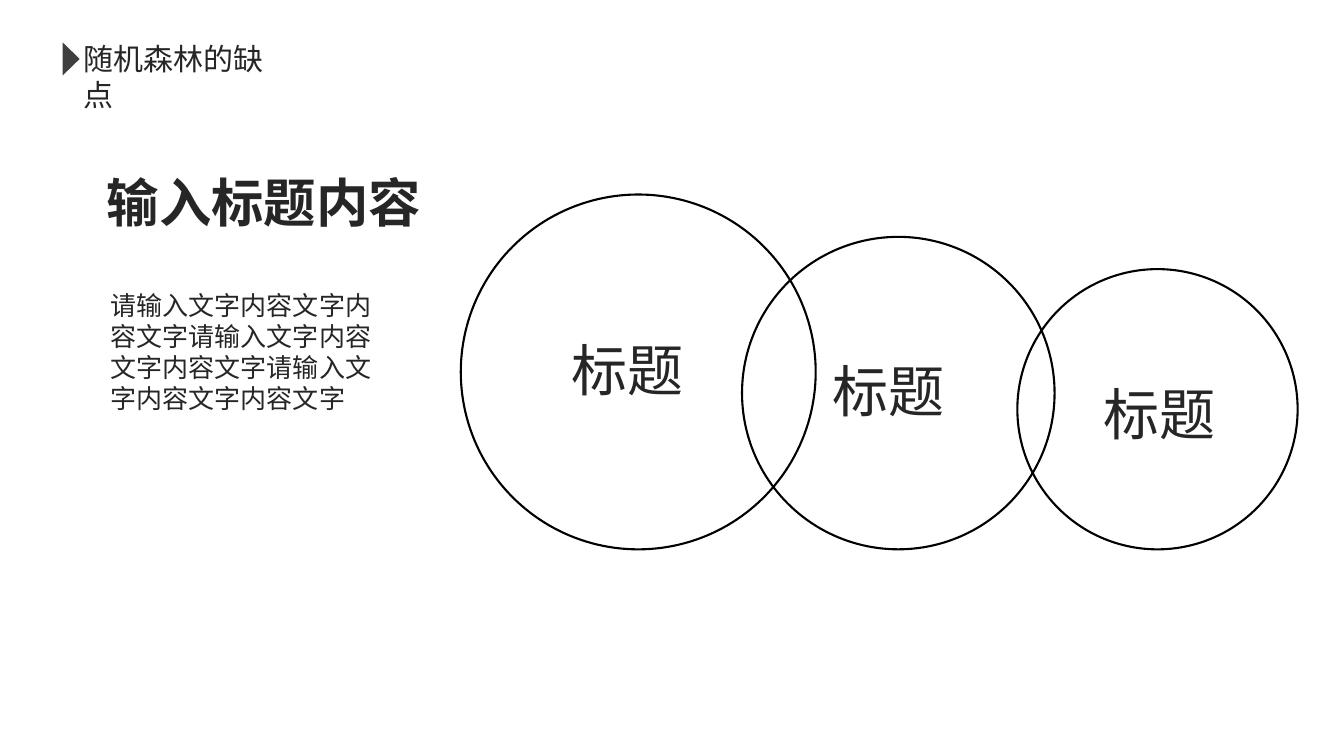
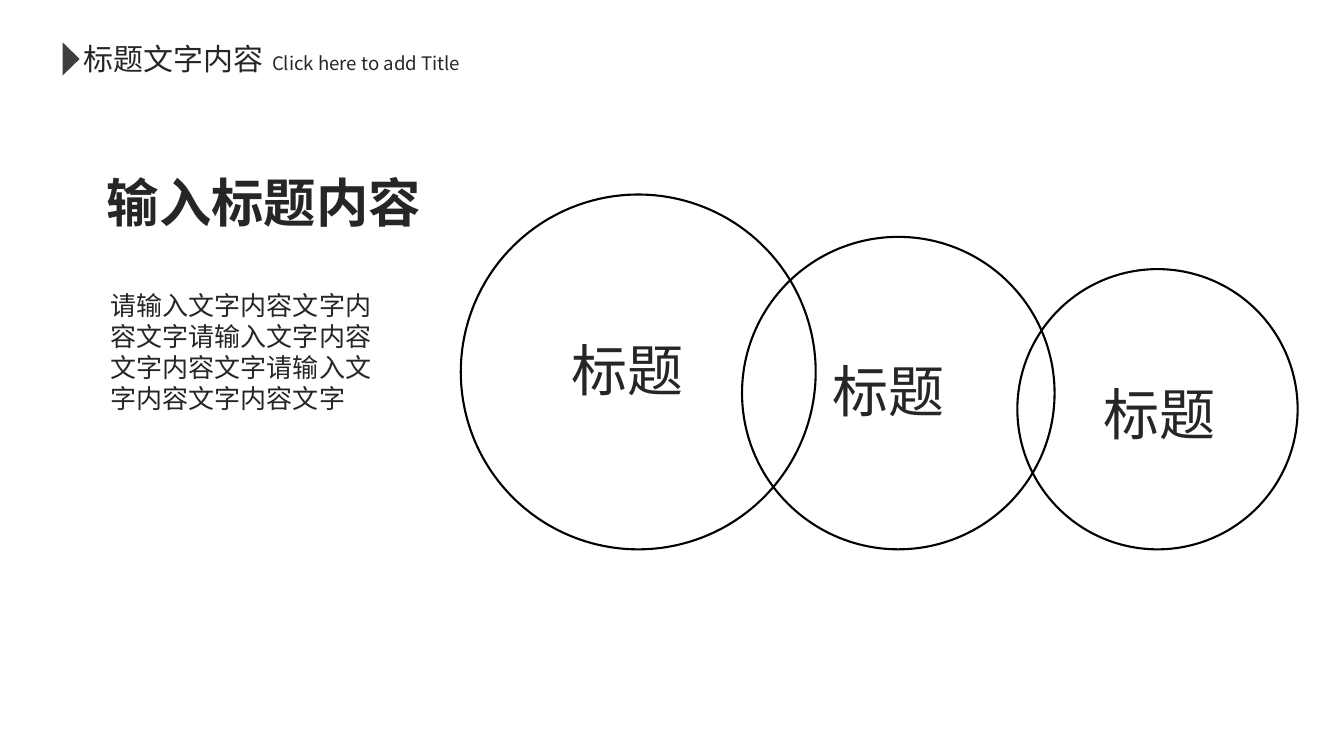
import pptx
import pptx.dml.color
import pptx.enum.shapes
import pptx.oxml.ns
import pptx.util
from lxml import etree

Inches = pptx.util.Inches
RGBColor = pptx.dml.color.RGBColor
SHAPES = pptx.enum.shapes.MSO_SHAPE

WHITE = RGBColor(0xFF, 0xFF, 0xFF)
BLACK = RGBColor(0x00, 0x00, 0x00)
TEXT = RGBColor(0x26, 0x26, 0x26)
MARKER = RGBColor(0x3F, 0x3F, 0x3F)
FONT = "Noto Sans CJK SC"

CIRCLE_BASE = 5.45
CIRCLES = [
    (4.57, 3.52, 1.00, 1.48, 1.93),
    (7.36, 3.10, 0.80, 1.27, 1.55),
    (10.09, 2.78, 0.76, 1.17, 1.69),
]
BODY = "请输入文字内容文字内容文字请输入文字内容文字内容文字请输入文字内容文字内容文字"
PAGES = [
    ("随机森林的缺点", None),
    ("标题文字内容", "Click here to add Title"),
]


def add_text(page, left, top, width, height, text, size, bold=False, spacing=None):
    box = page.shapes.add_textbox(
        Inches(left), Inches(top), Inches(width), Inches(height))
    box.text_frame.word_wrap = True
    para = box.text_frame.paragraphs[0]
    para.text = text
    if spacing:
        para.line_spacing = spacing
    font = para.font
    font.size = pptx.util.Pt(size)
    font.bold = bold
    font.color.rgb = TEXT
    font.name = FONT
    qn = pptx.oxml.ns.qn
    defaults = para._p.pPr.find(qn("a:defRPr"))
    etree.SubElement(defaults, qn("a:ea")).set("typeface", FONT)


def add_header(page, left, top, title, subtitle):
    add_text(page, left + 0.19, top, 2.24, 0.45, title, 21.4)
    marker = page.shapes.add_shape(
        SHAPES.ISOSCELES_TRIANGLE, Inches(left), Inches(top + 0.15),
        Inches(0.33), Inches(0.17))
    marker.rotation = 90
    marker.shadow.inherit = False
    marker.fill.solid()
    marker.fill.fore_color.rgb = MARKER
    marker.line.fill.background()
    if subtitle:
        add_text(page, left + 2.06, top + 0.12, 2.27, 0.33, subtitle, 13.3)


def add_summary(page, left, top):
    add_text(page, left, top, 6.66, 0.6, "输入标题内容", 37.4, bold=True, spacing=0.8)
    add_text(page, left + 0.04, top + 1.06, 2.83, 1.36, BODY, 18.6)


def add_circle(page, left, diameter, label_left, label_top, label_width):
    top = CIRCLE_BASE - diameter
    circle = page.shapes.add_shape(
        SHAPES.OVAL, Inches(left), Inches(top), Inches(diameter), Inches(diameter))
    circle.shadow.inherit = False
    circle.fill.background()
    circle.line.color.rgb = BLACK
    circle.line.width = pptx.util.Pt(1.5)
    add_text(page, left + label_left, top + label_top, label_width, 0.64,
             "标题", 40, spacing=0.8)


def add_page(deck, title, subtitle):
    page = deck.slides.add_slide(deck.slide_layouts[6])
    page.background.fill.solid()
    page.background.fill.fore_color.rgb = WHITE
    for circle in CIRCLES:
        add_circle(page, *circle)
    add_summary(page, 0.96, 1.76)
    add_header(page, 0.54, 0.35, title, subtitle)


def main():
    deck = pptx.Presentation()
    deck.slide_width = Inches(13.33)
    deck.slide_height = Inches(7.5)
    for title, subtitle in PAGES:
        add_page(deck, title, subtitle)
    deck.save("out.pptx")


if __name__ == "__main__":
    main()
